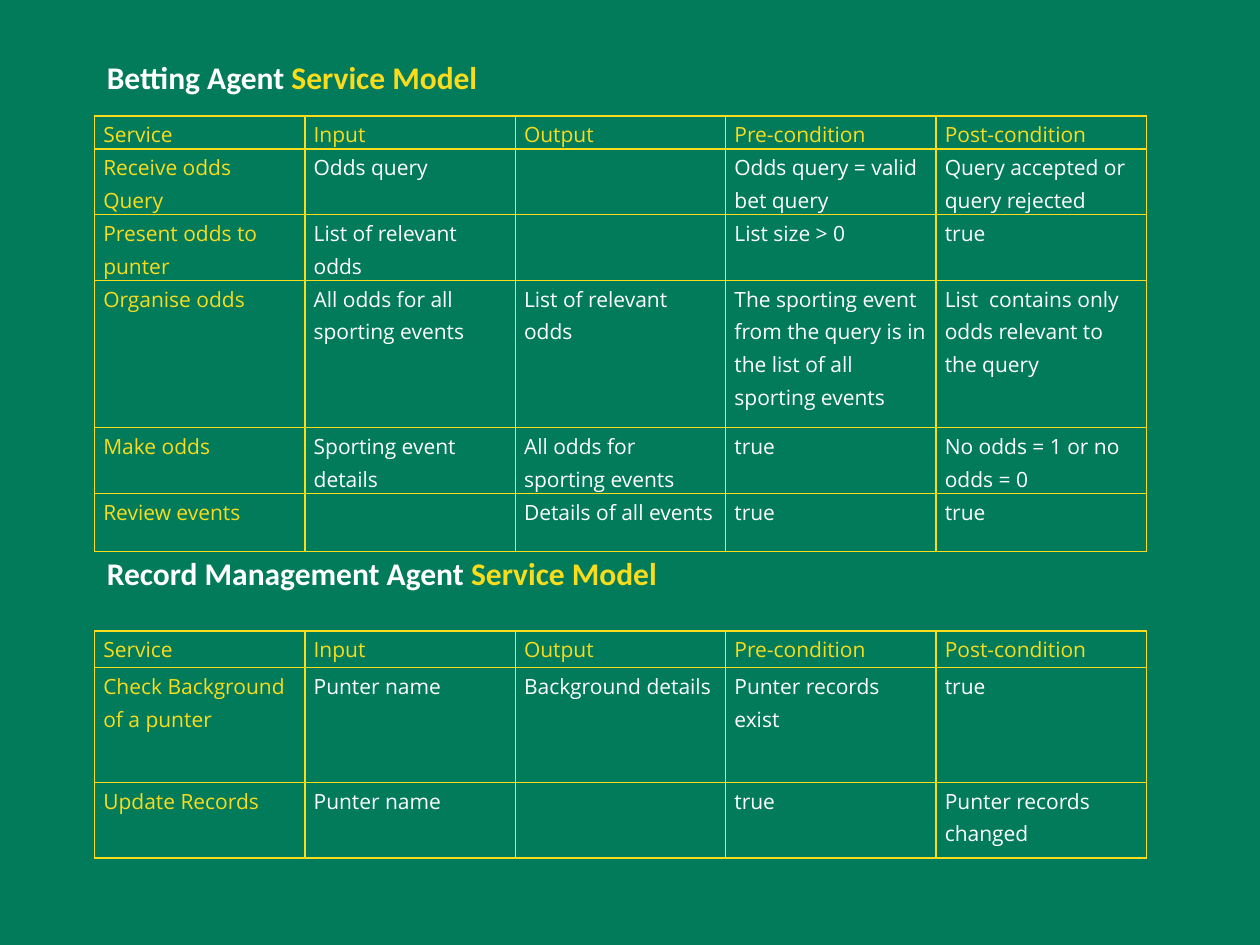
from dataclasses import dataclass

from lxml.etree import SubElement as Sub
from pptx import Presentation
from pptx.dml.color import RGBColor as RGB
from pptx.enum.text import MSO_ANCHOR as Anchor, MSO_AUTO_SIZE as Fit
from pptx.oxml.ns import qn
from pptx.util import Inches, Pt


@dataclass(frozen=True)
class Theme:
    back: str = "027B5B"
    gold: str = "F9DC1C"
    white: str = "FFFFFF"
    head: str = "Calibri"
    body: str = "Open Sans"
    big: int = 18
    small: int = 12
    rule: int = 1


class Deck:
    def __init__(self, theme):
        self.theme = theme
        self.file = Presentation()
        self.file.slide_width = Inches(10)
        self.file.slide_height = Inches(7.5)
        self.slide = self.file.slides.add_slide(self.file.slide_layouts[6])
        fill = self.slide.background.fill
        fill.solid()
        fill.fore_color.rgb = RGB.from_string(theme.back)

    def style(self, font, name, size, color, bold=False):
        font.name, font.size, font.bold = name, Pt(size), bold
        font.color.rgb = RGB.from_string(color)

    def title(self, top, width, parts, wrap):
        box = self.slide.shapes.add_textbox(
            Inches(0.75), Inches(top), Inches(width), Inches(0.4))
        frame = box.text_frame
        frame.word_wrap = wrap
        frame.auto_size = Fit.SHAPE_TO_FIT_TEXT
        frame.vertical_anchor = Anchor.MIDDLE
        look = self.theme
        for text, color in zip(parts, (look.white, look.gold)):
            run = frame.paragraphs[0].add_run()
            run.text = text
            self.style(run.font, look.head, look.big, color, True)

    def border(self, cell):
        props = cell._tc.get_or_add_tcPr()
        for side in ("lnL", "lnR", "lnT", "lnB"):
            line = Sub(props, qn(f"a:{side}"), w=str(Pt(self.theme.rule)))
            fill = Sub(line, qn("a:solidFill"))
            Sub(fill, qn("a:srgbClr"), val=self.theme.gold)

    def cell(self, cell, text, color):
        cell.margin_left = cell.margin_right = Inches(0.07)
        cell.margin_top = cell.margin_bottom = 0
        self.border(cell)
        cell.fill.background()
        para = cell.text_frame.paragraphs[0]
        para.text = text
        para.line_spacing = 1.15
        for run in para.runs:
            self.style(run.font, self.theme.body, self.theme.small, color)

    def table(self, top, highs, rows):
        wide = 1.67
        count = len(rows[0])
        grid = self.slide.shapes.add_table(
            len(rows), count, Inches(0.75), Inches(top),
            Inches(wide * count), Inches(sum(highs))).table
        grid.first_row = grid.horz_banding = False
        for col in grid.columns:
            col.width = Inches(wide)
        for r, (high, row) in enumerate(zip(highs, rows)):
            grid.rows[r].height = Inches(high)
            for c, text in enumerate(row):
                # Header row and service names stand out in gold
                label = r == 0 or c == 0
                color = self.theme.gold if label else self.theme.white
                self.cell(grid.cell(r, c), text, color)


HEADS = ("Service", "Input", "Output", "Pre-condition", "Post-condition")
BETS = (
    HEADS,
    ("Receive odds Query", "Odds query", "",
     "Odds query = valid bet query", "Query accepted or query rejected"),
    ("Present odds to punter", "List of relevant odds", "",
     "List size > 0", "true"),
    ("Organise odds", "All odds for all sporting events",
     "List of relevant odds",
     "The sporting event from the query is in the list of all sporting events",
     "List  contains only odds relevant to the query"),
    ("Make odds", "Sporting event details", "All odds for sporting events",
     "true", "No odds = 1 or no odds = 0"),
    ("Review events", "", "Details of all events", "true", "true"),
)
RECORDS = (
    HEADS,
    ("Check Background of a punter", "Punter name", "Background details",
     "Punter records exist", "true"),
    ("Update Records", "Punter name", "", "true", "Punter records changed"),
)


def main():
    deck = Deck(Theme())
    # Betting agent
    deck.table(0.92, (0.22, 0.46, 0.46, 1.17, 0.46, 0.46), BETS)
    deck.title(0.41, 3.17, ("Betting Agent ", "Service Model"), False)
    # Record management agent
    deck.table(5.01, (0.29, 0.91, 0.6), RECORDS)
    deck.title(4.35, 5.67, ("Record Management Agent", " Service Model"), True)
    deck.file.save("out.pptx")


if __name__ == "__main__":
    main()
